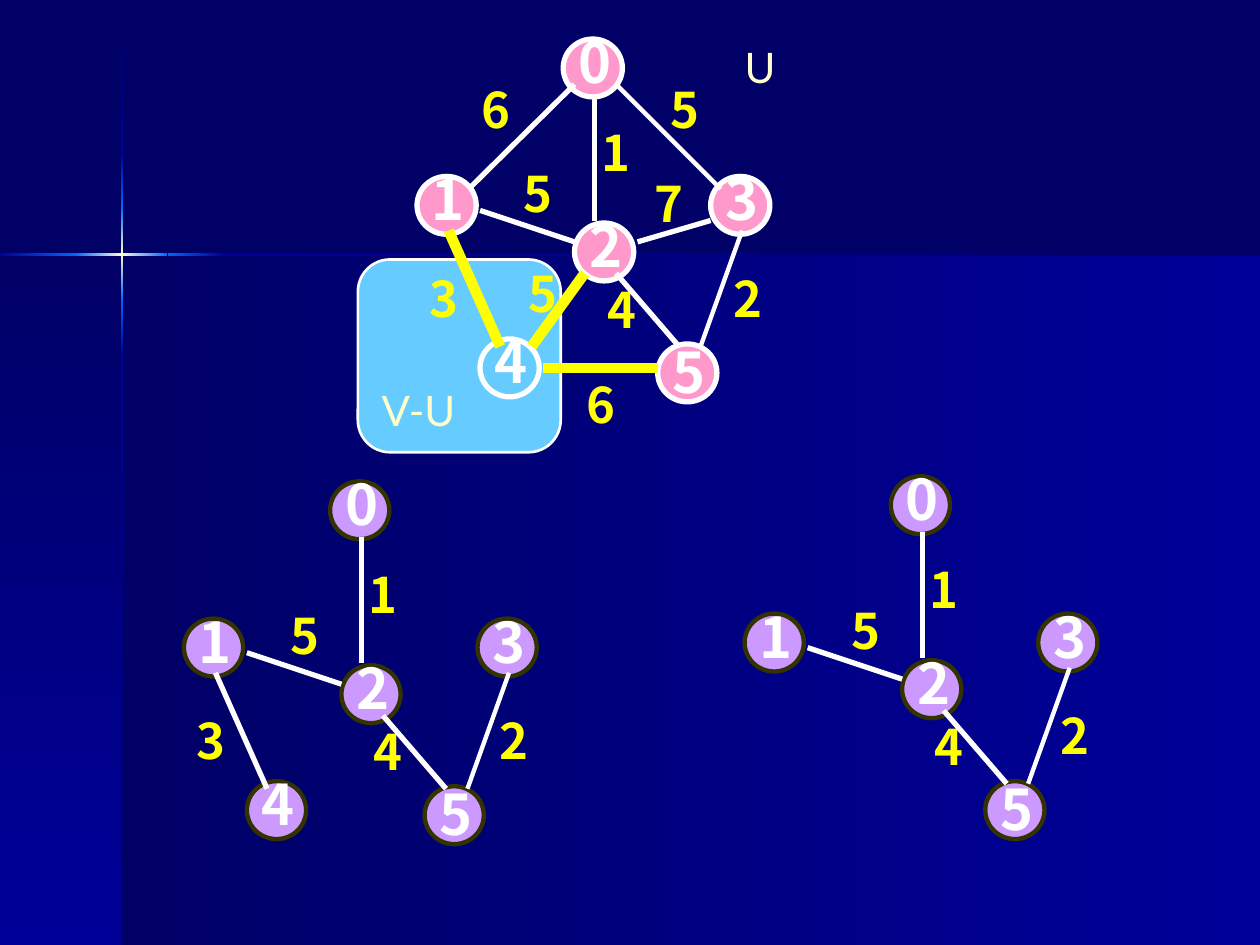
from copy import deepcopy
from typing import NamedTuple

from lxml import etree
from pptx import Presentation
from pptx.dml.color import RGBColor
from pptx.enum.shapes import MSO_CONNECTOR as Connector, MSO_SHAPE as Shape
from pptx.enum.text import MSO_AUTO_SIZE as AutoSize, PP_ALIGN as Align
from pptx.oxml.ns import qn
from pptx.util import Inches, Pt

NAVY = RGBColor(0x00, 0x00, 0x66)
BLUE = RGBColor(0x00, 0x00, 0x99)
GLOW = RGBColor(0x00, 0x66, 0xFF)
CREAM = RGBColor(0xFF, 0xFF, 0xCC)
SKY = RGBColor(0x66, 0xCC, 0xFF)
PINK = RGBColor(0xFF, 0x99, 0xCC)
LILAC = RGBColor(0xCC, 0x99, 0xFF)
OLIVE = RGBColor(0x33, 0x33, 0x00)
YELLOW = RGBColor(0xFF, 0xFF, 0x00)
WHITE = RGBColor(0xFF, 0xFF, 0xFF)

DIGIT_FONT = "Noto Sans CJK SC"
LABEL_FONT = "Lato"
NODE_WIDTH, NODE_HEIGHT = 0.47, 0.46
DOWN, ACROSS = 270, 0


class Edge(NamedTuple):
    start: tuple
    end: tuple
    weight: str
    spot: tuple
    weight_width: float = 0.5
    align: Align = Align.LEFT
    thickness: float = 3


# Node and edge places, measured from the top left corner of a graph
NODES = {
    "0": (1.16, 0), "1": (0, 1.09), "2": (1.25, 1.46),
    "3": (2.33, 1.09), "4": (0.5, 2.38), "5": (1.91, 2.42),
}
EDGES = {
    "0-1": Edge((1.25, 0.36), (0.41, 1.19), "6", (0.41, 0.27)),
    "0-3": Edge((1.58, 0.36), (2.41, 1.19), "5", (1.91, 0.27), 0.75, thickness=2.5),
    "0-2": Edge((1.41, 0.44), (1.41, 1.44), "1", (1.33, 0.61), align=Align.CENTER),
    "1-2": Edge((0.5, 1.36), (1.25, 1.61), "5", (0.75, 0.94), 0.42),
    "2-3": Edge((1.75, 1.61), (2.33, 1.44), "7", (1.75, 1.02), align=Align.CENTER),
    "1-4": Edge((0.25, 1.52), (0.66, 2.44), "3", (0, 1.77), 0.75),
    "2-4": Edge((1.33, 1.86), (0.91, 2.44), "5", (0.79, 1.73)),
    "2-5": Edge((1.58, 1.86), (2.08, 2.44), "4", (1.41, 1.86)),
    "3-5": Edge((2.58, 1.52), (2.25, 2.44), "2", (2.41, 1.77), thickness=2.5),
    "4-5": Edge((1, 2.61), (1.91, 2.61), "6", (1.25, 2.61)),
}


def add_text(shapes, text, left, top, width, height, size, color,
             font=DIGIT_FONT, bold=True, align=Align.LEFT):
    box = shapes.add_textbox(Inches(left), Inches(top), Inches(width), Inches(height))
    frame = box.text_frame
    frame.word_wrap = True
    frame.auto_size = AutoSize.SHAPE_TO_FIT_TEXT
    frame.text = text
    para = frame.paragraphs[0]
    para.alignment = align
    para.line_spacing = Pt(size * 1.2)
    span = para.runs[0]
    span.font.size = Pt(size)
    span.font.name = font
    span.font.bold = bold
    span.font.color.rgb = color
    # Chinese-capable face for East Asian text as well
    east = etree.SubElement(span.font._element, qn("a:ea"))
    east.set("typeface", font)
    return box


def add_band(shapes, left, top, right, bottom, colors, angle):
    """A borderless rectangle with evenly spaced gradient stops."""
    band = shapes.add_shape(Shape.RECTANGLE, Inches(left), Inches(top),
                            Inches(right - left), Inches(bottom - top))
    band.shadow.inherit = False
    band.line.fill.background()
    band.fill.gradient()
    band.fill.gradient_angle = angle
    stop_list = band._element.spPr.find(".//" + qn("a:gsLst"))
    for _ in colors[2:]:
        stop_list.append(deepcopy(stop_list[0]))
    for index, (stop, color) in enumerate(zip(band.fill.gradient_stops, colors)):
        stop.position = index / (len(colors) - 1)
        stop.color.rgb = color


def add_backdrop(page, width, height):
    page.background.fill.solid()
    page.background.fill.fore_color.rgb = NAVY
    shapes = page.shapes.add_group_shape().shapes
    # Lower panels
    add_band(shapes, 0.97, 2.02, width, height, (NAVY, BLUE), ACROSS)
    add_band(shapes, 0, 2.02, 0.97, height, (NAVY, BLUE), DOWN)
    # Glowing cross: vertical arm, then horizontal arm
    for top, bottom, colors in (
        (0.01, 1.21, (NAVY, BLUE)), (2.82, height, (BLUE, NAVY)),
        (2.38, 2.82, (GLOW, BLUE)), (1.21, 1.65, (BLUE, GLOW)),
        (1.65, 2.38, (GLOW, CREAM, GLOW)),
    ):
        add_band(shapes, 0.96, top, 0.98, bottom, colors, DOWN)
    for left, right, colors in (
        (1.77, width, (BLUE, NAVY)), (0, 0.61, (BLUE, GLOW)),
        (1.33, 1.77, (GLOW, BLUE)), (0.6, 1.33, (GLOW, CREAM, GLOW)),
    ):
        add_band(shapes, left, 2.01, right, 2.03, colors, ACROSS)


def add_set_panel(page, left, top, width, height):
    panel = page.shapes.add_shape(Shape.ROUNDED_RECTANGLE, Inches(left), Inches(top),
                                  Inches(width), Inches(height))
    panel.shadow.inherit = False
    panel.fill.solid()
    panel.fill.fore_color.rgb = SKY
    panel.line.color.rgb = WHITE
    panel.line.width = Pt(1.5)


def add_set_label(page, text, left, top, width, indent):
    box = add_text(page.shapes, text, left, top, width, 0.5, 24, CREAM, LABEL_FONT, False)
    box.text_frame.margin_left = Inches(indent)


def add_node(shapes, name, left, top, fill, outline, thickness):
    node = shapes.add_shape(Shape.OVAL, Inches(left), Inches(top),
                            Inches(NODE_WIDTH), Inches(NODE_HEIGHT))
    node.shadow.inherit = False
    if fill is None:
        node.fill.background()
    else:
        node.fill.solid()
        node.fill.fore_color.rgb = fill
    node.line.color.rgb = outline
    node.line.width = Pt(thickness)
    rise = 0.1 if name == "5" else 0.14
    add_text(shapes, name, left + 0.02, top - rise, 0.34, 0.63, 32, WHITE,
             align=Align.CENTER)


def add_edge(shapes, edge, left, top, color, thickness):
    (x1, y1), (x2, y2) = edge.start, edge.end
    line = shapes.add_connector(Connector.STRAIGHT, Inches(left + x1), Inches(top + y1),
                                Inches(left + x2), Inches(top + y2))
    line.line.color.rgb = color
    line.line.width = Pt(thickness)
    etree.SubElement(line._element.spPr, qn("a:effectLst"))


def add_graph(page, left, top, nodes, edges, fill, outline, thickness,
              hollow=(), crossing=()):
    """Draw the chosen nodes and edges; crossing edges are thick and yellow."""
    shapes = page.shapes.add_group_shape().shapes
    for name in nodes:
        x, y = NODES[name]
        add_node(shapes, name, left + x, top + y,
                 None if name in hollow else fill, outline, thickness)
    for key in edges:
        edge = EDGES[key]
        x, y = edge.spot
        add_text(shapes, edge.weight, left + x, top + y, edge.weight_width, 0.57,
                 28, YELLOW, align=edge.align)
    for key in edges:
        edge = EDGES[key]
        color, width = (YELLOW, 6) if key in crossing else (WHITE, edge.thickness)
        add_edge(shapes, edge, left, top, color, width)


def main():
    deck = Presentation()
    deck.slide_width, deck.slide_height = Inches(10), Inches(7.5)
    page = deck.slides.add_slide(deck.slide_layouts[6])
    add_backdrop(page, 10, 7.5)

    # Vertex sets U and V-U
    add_set_panel(page, 2.84, 2.06, 1.61, 1.53)
    add_set_label(page, "U", 5.75, 0.28, 0.75, 0.16)
    add_set_label(page, "V-U", 2.8, 3, 1.17, 0.23)

    # Trees after and before node 4 joins, then the full graph
    tree = ["0-2", "1-2", "2-5", "3-5"]
    add_graph(page, 7.91 - 2, 3.78, "01235", tree, LILAC, OLIVE, 2.5)
    add_graph(page, 1.46, 3.82, "012345", tree + ["1-4"], LILAC, OLIVE, 2.5)
    add_graph(page, 3.31, 0.31, "012345", EDGES, PINK, WHITE, 3,
              hollow="4", crossing=("1-4", "2-4", "4-5"))
    deck.save("out.pptx")


if __name__ == "__main__":
    main()
